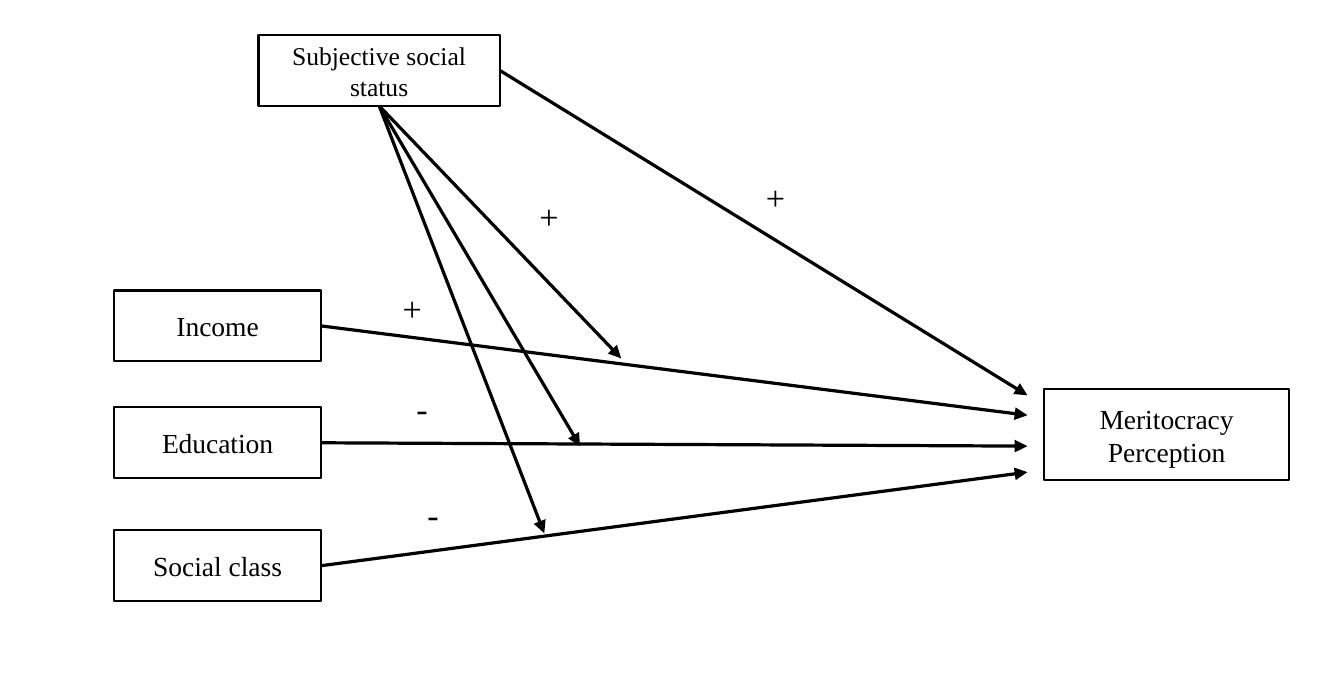
"""Build a path diagram of status, resources and meritocracy perception."""
import pptx
import pptx.dml.color
import pptx.enum.shapes
import pptx.enum.text
import pptx.oxml.ns
import pptx.util
from lxml import etree
from pptx.util import Cm

COLORS = {"ink": "000000", "paper": "FFFFFF"}
FONT = "Times New Roman"
BOTTOM, RIGHT = 2, 3
PREDICTOR_LEFT, PREDICTOR_WIDTH, BOX_HEIGHT = 1.88, 3.43, 1.17
OUTCOME_ARROW_X = 16.97
SIGN_WIDTHS = {"+": 0.84, "-": 0.71}

predictor_tops = {"Income": 4.8, "Education": 6.73, "Social class": 8.76}
factors = [
    (name, PREDICTOR_LEFT, top, PREDICTOR_WIDTH, BOX_HEIGHT, 12.9)
    for name, top in predictor_tops.items()
] + [
    ("Meritocracy\nPerception", 17.25, 6.43, 4.04, 1.5, 12.9),
    ("Subjective social status", 4.27, 0.58, 3.99, BOX_HEIGHT, 12),
]
effects = [
    ("Income", RIGHT, OUTCOME_ARROW_X, 6.86),
    ("Education", RIGHT, OUTCOME_ARROW_X, 7.37),
    ("Social class", RIGHT, OUTCOME_ARROW_X, 7.8),
    ("Subjective social status", RIGHT, OUTCOME_ARROW_X, 6.53),
    ("Subjective social status", BOTTOM, 10.26, 5.92),
    ("Subjective social status", BOTTOM, 9.58, 7.37),
    ("Subjective social status", BOTTOM, 8.99, 8.81),
]
signs = [
    ("+", 6.4, 4.62),
    ("-", 6.63, 6.27),
    ("-", 6.81, 8.03),
    ("+", 8.66, 3.1),
    ("+", 12.4, 2.79),
]


def color(name):
    return pptx.dml.color.RGBColor.from_string(COLORS[name])


def write(frame, text, size, align):
    frame.text = text
    for paragraph in frame.paragraphs:
        paragraph.alignment = align
        for run in paragraph.runs:
            run.font.name = FONT
            run.font.size = pptx.util.Pt(size)
            run.font.color.rgb = color("ink")


def add_factor(slide, name, left, top, width, height, size):
    box = slide.shapes.add_shape(
        pptx.enum.shapes.MSO_SHAPE.RECTANGLE, Cm(left), Cm(top), Cm(width), Cm(height)
    )
    box.shadow.inherit = False
    box.fill.solid()
    box.fill.fore_color.rgb = color("paper")
    box.line.color.rgb = color("ink")
    box.line.width = pptx.util.Pt(1)
    frame = box.text_frame
    frame.word_wrap = True
    frame.vertical_anchor = pptx.enum.text.MSO_ANCHOR.MIDDLE
    frame.margin_left = frame.margin_right = Cm(0.18)
    frame.margin_top = frame.margin_bottom = Cm(0.1)
    write(frame, name, size, pptx.enum.text.PP_ALIGN.CENTER)
    return box


def add_effect(slide, source, side, x, y):
    arrow = slide.shapes.add_connector(
        pptx.enum.shapes.MSO_CONNECTOR.STRAIGHT, 0, 0, Cm(x), Cm(y)
    )
    arrow.begin_connect(source, side)
    arrow.line.color.rgb = color("ink")
    arrow.line.width = pptx.util.Pt(1.5)
    qn = pptx.oxml.ns.qn
    etree.SubElement(arrow.line._get_or_add_ln(), qn("a:tailEnd"), type="triangle")
    etree.SubElement(arrow._element.spPr, qn("a:effectLst"))


def add_sign(slide, sign, left, top):
    label = slide.shapes.add_textbox(
        Cm(left), Cm(top), Cm(SIGN_WIDTHS[sign]), Cm(0.94)
    )
    frame = label.text_frame
    frame.word_wrap = False
    frame.auto_size = pptx.enum.text.MSO_AUTO_SIZE.SHAPE_TO_FIT_TEXT
    write(frame, sign, 16, pptx.enum.text.PP_ALIGN.LEFT)


def main():
    deck = pptx.Presentation()
    deck.slide_width, deck.slide_height = Cm(22.2), Cm(11.3)
    slide = deck.slides.add_slide(deck.slide_layouts[6])
    boxes = {factor[0]: add_factor(slide, *factor) for factor in factors}
    for source, side, x, y in effects:
        add_effect(slide, boxes[source], side, x, y)
    for sign in signs:
        add_sign(slide, *sign)
    deck.save("out.pptx")


if __name__ == "__main__":
    main()
